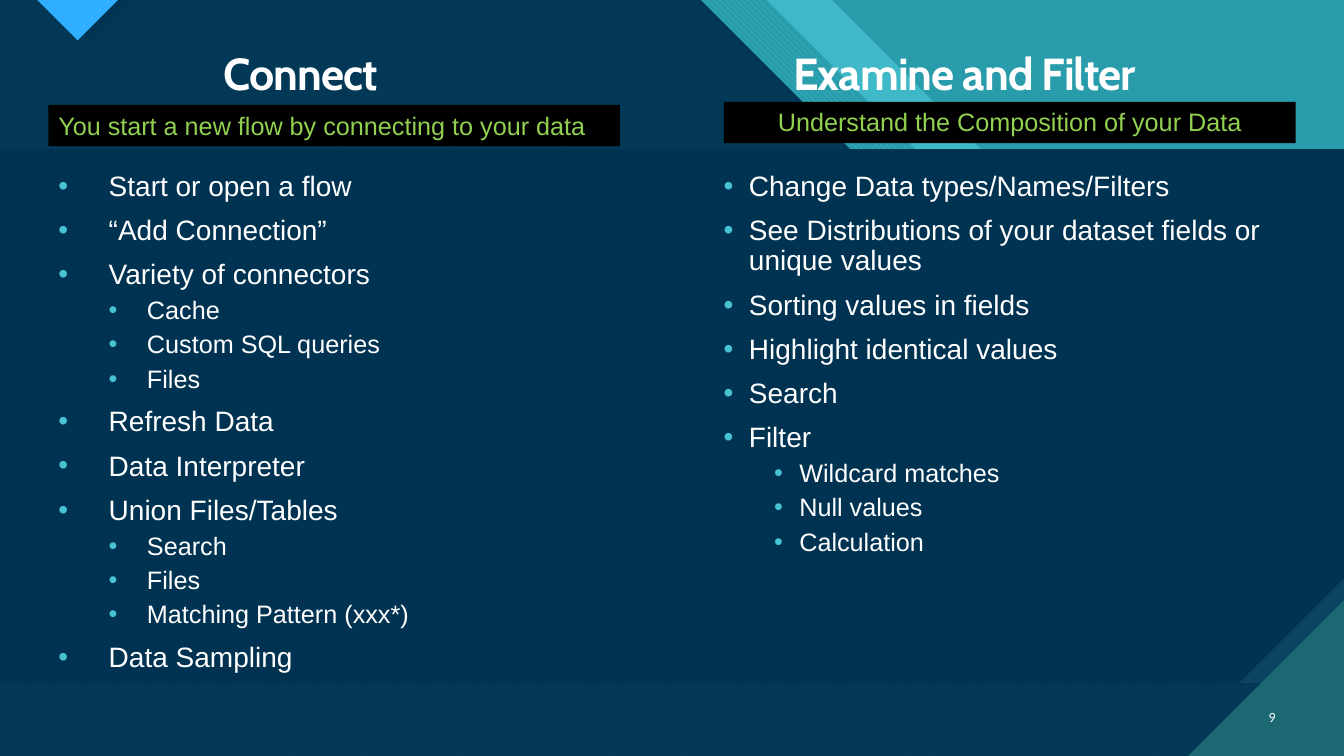
"""Build the slide that pairs the connect step with the examine and filter step."""
from lxml import etree
from pptx import Presentation
from pptx import util as u
from pptx.dml.color import RGBColor
from pptx.enum import dml, shapes, text
from pptx.oxml.ns import qn

COLUMNS = [
    {
        "title": ("Connect", (2.12, 0.46, 2.19, 0.59)),
        "tagline": ("You start a new flow by connecting to your data", (0.48, 1.04, 5.67, 0.41), "left"),
        "body": (0.48, 1.66, 5.67, 5.1),
        "indents": [(0.5, -0.5), (0.88, -0.38)],
        "items": [
            ("Start or open a flow", []),
            ("“Add Connection”", []),
            ("Variety of connectors", ["Cache", "Custom SQL queries", "Files"]),
            ("Refresh Data", []),
            ("Data Interpreter", []),
            ("Union Files/Tables", ["Search", "Files", "Matching Pattern (xxx*)"]),
            ("Data Sampling", []),
        ],
    },
    {
        "title": ("Examine and Filter", (7.77, 0.46, 4.08, 0.59)),
        "tagline": ("Understand the Composition of your Data", (7.18, 1.01, 5.67, 0.41), "center"),
        "body": (7.08, 1.66, 5.67, 5.1),
        "indents": [(0.25, -0.25), (0.75, -0.25)],
        "items": [
            ("Change Data types/Names/Filters", []),
            ("See Distributions of your dataset fields or unique values", []),
            ("Sorting values in fields", []),
            ("Highlight identical values", []),
            ("Search", []),
            ("Filter", ["Wildcard matches", "Null values", "Calculation"]),
        ],
    },
]
SLIDE_NUMBER = ("9", (12.31, 6.91, 0.44, 0.4))

WIDTH, HEIGHT = 13.33, 7.5
NOTCH_DEPTH = 2.97
PANEL = (0, 1.48, WIDTH, 5.3)
CORNER = 1.54

THEME = {
    "teal": "299CAB", "aqua": "47C3D3", "deep": "1B6872", "navy": "003352", "steel": "0C4360",
    "sky": "2FAFFF", "white": "FFFFFF", "black": "000000", "lime": "92D050",
    "heading": {"name": "Cabin", "size": u.Pt(32), "bold": True},
    "tagline": {"name": "Arial", "size": u.Pt(18)},
    "number": {"name": "Calibri", "size": u.Pt(10)},
    "levels": [
        ({"name": "Arial", "size": u.Pt(20)}, {"level": 0, "line_spacing": 0.9, "space_before": u.Pt(10)}),
        ({"name": "Arial", "size": u.Pt(18)}, {"level": 1, "line_spacing": 0.9, "space_before": u.Pt(5)}),
    ],
}
PATTERN = dml.MSO_PATTERN
ALIGN = {"left": text.PP_ALIGN.LEFT, "center": text.PP_ALIGN.CENTER, "right": text.PP_ALIGN.RIGHT}

BANDS = [
    (0, 8.25, 12.34, {"color": "aqua", "alpha": 74}),
    (0.66, 7.6, 11.84, {"pattern": PATTERN.WIDE_DOWNWARD_DIAGONAL, "color": "aqua", "back": "teal"}),
    (0, 6.95, 11.18, {"pattern": PATTERN.WIDE_UPWARD_DIAGONAL, "color": "aqua", "back": "deep"}),
    (0, 6.95, 11.18, {"color": "navy", "alpha": 90}),
]
POINTERS = [
    (0.48, 0.41, {"color": "navy"}),
    (0.37, 0.4, {"pattern": PATTERN.DARK_HORIZONTAL, "color": "sky", "back": "deep"}),
]
PANEL_LAYERS = [
    (0, {"pattern": PATTERN.DARK_VERTICAL, "color": "steel", "back": "deep"}),
    (0.197, {"color": "navy"}),
]
CORNER_FILL = {"pattern": PATTERN.DARK_HORIZONTAL, "color": "deep", "back": "aqua"}


def rgb(name):
    return RGBColor.from_string(THEME[name])


def inches(values):
    return [u.Inches(value) for value in values]


def set_attributes(target, values):
    for name, value in values.items():
        setattr(target, name, value)


def paint(shape, color, back=None, pattern=None, alpha=None):
    shape.shadow.inherit = False
    shape.line.fill.background()
    if pattern is None:
        shape.fill.solid()
        shape.fill.fore_color.rgb = rgb(color)
    else:
        shape.fill.patterned()
        shape.fill.pattern = pattern
        shape.fill.fore_color.rgb = rgb(color)
        shape.fill.back_color.rgb = rgb(back)
    if alpha is not None:
        solid_color = shape._element.spPr.find(qn("a:solidFill"))[0]
        etree.SubElement(solid_color, qn("a:alpha"), val=str(alpha * 1000))


def add_polygon(slide, points, fill):
    start, *rest = [inches(point) for point in points]
    builder = slide.shapes.build_freeform(*start)
    builder.add_line_segments(rest, close=True)
    paint(builder.convert_to_shape(), **fill)


def add_band(slide, left, top_edge, shoulder, fill):
    points = [
        (left, 0), (top_edge, 0), (top_edge + NOTCH_DEPTH, NOTCH_DEPTH), (shoulder, NOTCH_DEPTH),
        (WIDTH, NOTCH_DEPTH + WIDTH - shoulder), (WIDTH, HEIGHT), (left, HEIGHT),
    ]
    add_polygon(slide, points, fill)


def add_backdrop(slide):
    slide.background.fill.solid()
    slide.background.fill.fore_color.rgb = rgb("teal")
    for band in BANDS:
        add_band(slide, *band)
    for left, depth, fill in POINTERS:
        add_polygon(slide, [(left, 0), (left + depth, depth), (left + 2 * depth, 0)], fill)
    for snip, fill in PANEL_LAYERS:
        panel = slide.shapes.add_shape(shapes.MSO_SHAPE.SNIP_1_RECTANGLE, *inches(PANEL))
        panel.adjustments[0] = snip
        panel._element.spPr.find(qn("a:xfrm")).set("flipV", "1")
        paint(panel, **fill)
    corner = [(WIDTH - CORNER, HEIGHT), (WIDTH, HEIGHT), (WIDTH, HEIGHT - CORNER)]
    add_polygon(slide, corner, CORNER_FILL)


def write(paragraph, words, font, color, align="left"):
    paragraph.alignment = ALIGN[align]
    run = paragraph.add_run()
    run.text = words
    set_attributes(run.font, font)
    run.font.color.rgb = rgb(color)
    return run


def add_text_box(slide, box, anchor=text.MSO_ANCHOR.TOP):
    frame = slide.shapes.add_textbox(*inches(box)).text_frame
    set_attributes(frame, {"word_wrap": True, "vertical_anchor": anchor})
    return frame


def add_title(slide, words, box):
    paragraph = add_text_box(slide, box).paragraphs[0]
    paragraph.line_spacing = 0.9
    run = write(paragraph, words, THEME["heading"], "white")
    run._r.get_or_add_rPr().set("spc", "-70")


def add_tagline(slide, words, box, align):
    bar = slide.shapes.add_shape(shapes.MSO_SHAPE.RECTANGLE, *inches(box))
    paint(bar, "black")
    set_attributes(bar.text_frame, {"word_wrap": True, "vertical_anchor": text.MSO_ANCHOR.TOP})
    write(bar.text_frame.paragraphs[0], words, THEME["tagline"], "lime", align)


def add_bullet(paragraph, margin, hanging):
    properties = paragraph._p.get_or_add_pPr()
    properties.set("marL", str(u.Inches(margin)))
    properties.set("indent", str(u.Inches(hanging)))
    bullet_color = etree.SubElement(properties, qn("a:buClr"))
    etree.SubElement(bullet_color, qn("a:srgbClr"), val=THEME["aqua"])
    etree.SubElement(properties, qn("a:buFont"), typeface="Arial")
    etree.SubElement(properties, qn("a:buChar"), char="•")


def add_list(slide, box, indents, items):
    frame = add_text_box(slide, box)
    lines = [(level, line) for item, details in items
             for level, line in [(0, item)] + [(1, detail) for detail in details]]
    for index, (level, line) in enumerate(lines):
        paragraph = frame.add_paragraph() if index else frame.paragraphs[0]
        font, spacing = THEME["levels"][level]
        set_attributes(paragraph, spacing)
        write(paragraph, line, font, "white")
        add_bullet(paragraph, *indents[level])


def main():
    presentation = Presentation()
    set_attributes(presentation, {"slide_width": u.Inches(WIDTH), "slide_height": u.Inches(HEIGHT)})
    slide = presentation.slides.add_slide(presentation.slide_layouts[6])
    add_backdrop(slide)
    for column in COLUMNS:
        add_title(slide, *column["title"])
        add_list(slide, column["body"], column["indents"], column["items"])
        add_tagline(slide, *column["tagline"])
    number, box = SLIDE_NUMBER
    frame = add_text_box(slide, box, text.MSO_ANCHOR.MIDDLE)
    write(frame.paragraphs[0], number, THEME["number"], "white", "right")
    presentation.save("out.pptx")


if __name__ == "__main__":
    main()
